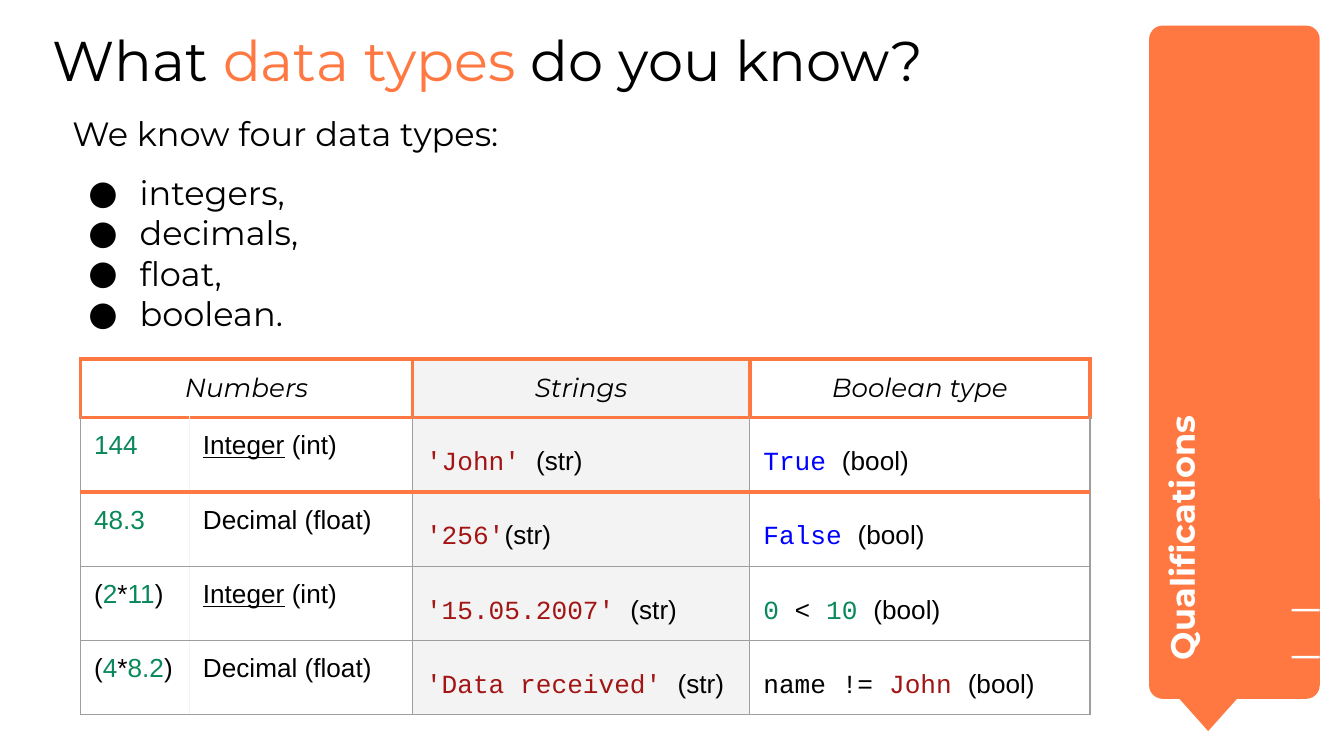
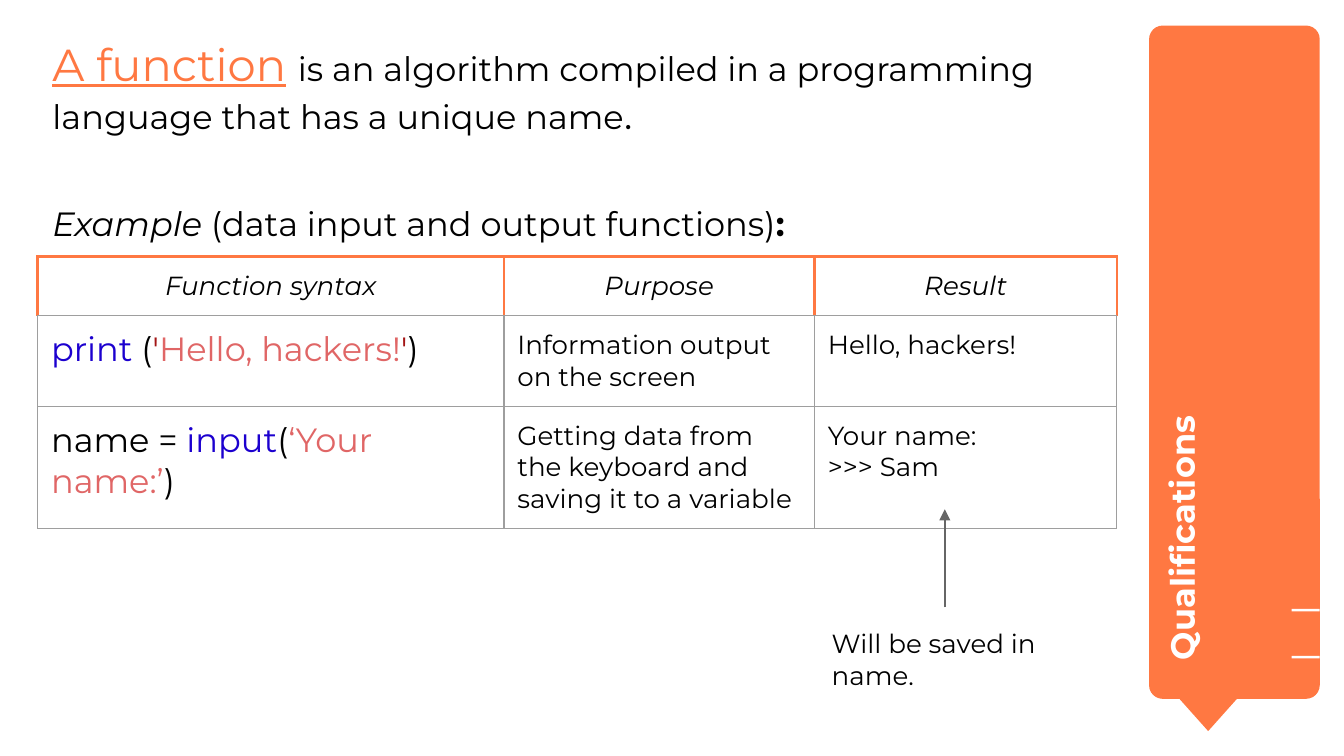
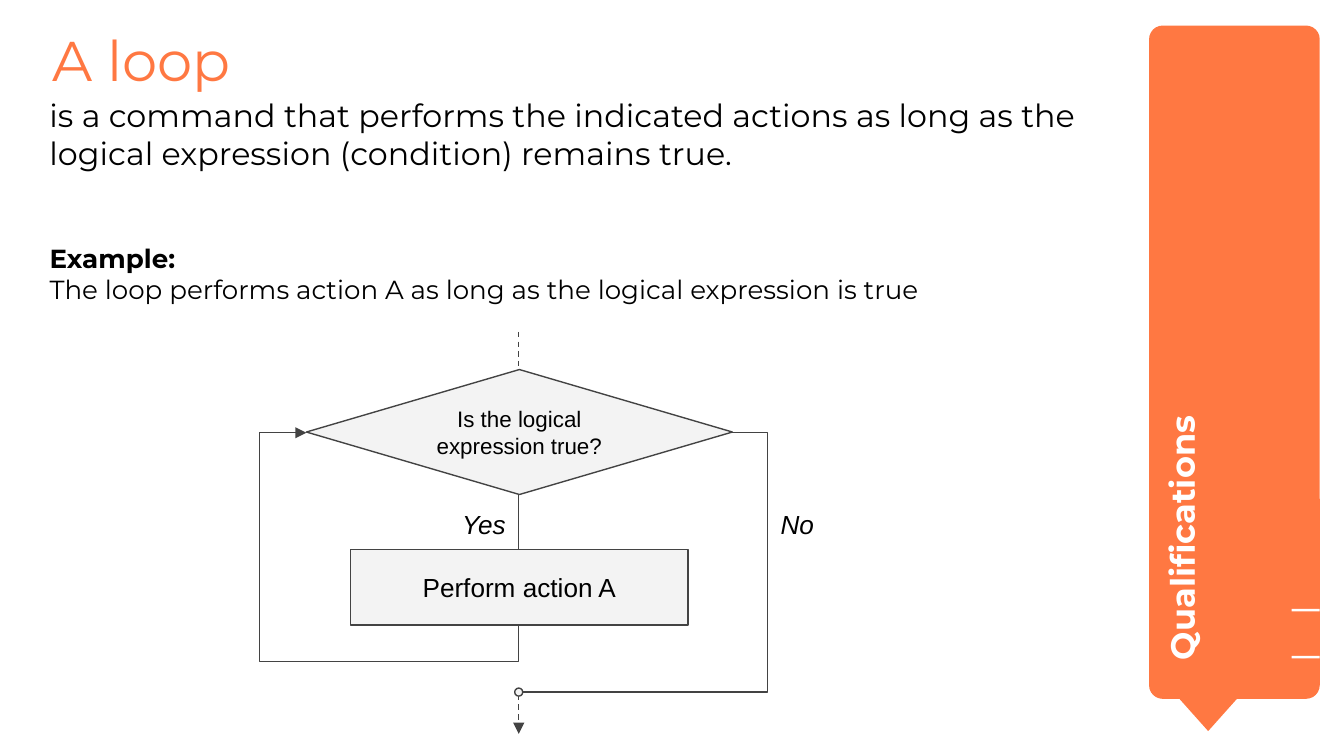
from pptx import Presentation
from pptx.dml.color import RGBColor
from pptx.enum.dml import MSO_LINE
from pptx.enum.shapes import MSO_CONNECTOR, MSO_SHAPE
from pptx.enum.text import MSO_ANCHOR, MSO_AUTO_SIZE, PP_ALIGN
from pptx.oxml.ns import qn
from pptx.util import Inches, Pt
from lxml import etree

STRAIGHT, ELBOW, DASH = MSO_CONNECTOR.STRAIGHT, MSO_CONNECTOR.ELBOW, MSO_LINE.DASH
TOP, MIDDLE = MSO_ANCHOR.TOP, MSO_ANCHOR.MIDDLE
LEFT, CENTER = PP_ALIGN.LEFT, PP_ALIGN.CENTER

BLACK, WHITE = RGBColor(0, 0, 0), RGBColor(255, 255, 255)
ORANGE = RGBColor(0xFF, 0x78, 0x42)
PALE = RGBColor(0xF3, 0xF3, 0xF3)
GRID = RGBColor(0x9E, 0x9E, 0x9E)
ARROW = RGBColor(0x66, 0x66, 0x66)
FLOW = RGBColor(0x43, 0x43, 0x43)
GREEN = RGBColor(0x09, 0x88, 0x5A)
RED = RGBColor(0xA3, 0x15, 0x15)
ROSE = RGBColor(0xE0, 0x66, 0x66)
BLUE = RGBColor(0, 0, 255)
INDIGO = RGBColor(0x1C, 0, 0xCF)

MONT, ARIAL, COURIER = "Montserrat", "Arial", "Courier New"
MARGIN = 0.1

# Content: a paragraph is a list of runs, a run is (text, font changes).


def num(text):
    return text, dict(color=GREEN)


def code(text, color=BLACK):
    return text, dict(name=COURIER, color=color)


def plain(text):
    return text, {}


INTEGER = [("Integer", dict(underline=True)), plain(" (int)")]
DECIMAL = [plain("Decimal (float)")]
STR, BOOL = plain("(str)"), plain("(bool)")

TYPES_TITLE = [plain("What "), ("data types", dict(color=ORANGE)), plain(" do you know?")]
TYPES_INTRO = "We know four data types:"
TYPES_LIST = ["integers,", "decimals,", "float,", "boolean."]
TYPES_COLS, TYPES_ROWS = [0.81, 1.66, 2.51, 2.53], [0.4] + [0.52] * 4
TYPES_HEAD = ["Numbers", "", "Strings", "Boolean type"]
TYPES_BODY = [
    [[num("144")], INTEGER, [code("'John' ", RED), STR], [code("True ", BLUE), BOOL]],
    [[num("48.3")], DECIMAL, [code("'256'", RED), STR], [code("False ", BLUE), BOOL]],
    [[plain("("), num("2"), plain("*"), num("11"), plain(")")], INTEGER,
     [code("'15.05.2007' ", RED), STR],
     [code("0", GREEN), code(" < "), code("10 ", GREEN), BOOL]],
    [[plain("("), num("4"), plain("*"), num("8.2"), plain(")")], DECIMAL,
     [code("'Data received' ", RED), STR],
     [code("name !="), code(" John ", RED), BOOL]],
]

FUNCTION_TITLE = [
    ("A function", dict(size=24, color=ORANGE, underline=True)),
    (" ", dict(size=24)),
    plain("is an algorithm compiled in a programming language that has a unique name"),
    (".", dict(size=21)),
]
FUNCTION_EXAMPLE = [("Example", dict(italic=True)),
                    plain(" (data input and output functions)"),
                    (":", dict(bold=True))]
FUNCTION_COLS, FUNCTION_ROWS = [3.47, 2.31, 2.25], [0.44, 0.67, 0.9]
FUNCTION_HEAD = ["Function syntax", "Purpose", "Result"]
FUNCTION_BODY = [
    ([("print ", dict(color=INDIGO)), plain("("), ("'", dict(color=RED)),
      ("Hello, hackers!", dict(color=ROSE)), ("'", dict(color=RED)), plain(")")],
     ["Information output", "on the screen"], ["Hello, hackers!"]),
    ([plain("name ="), (" input", dict(color=INDIGO)), plain("("),
      ("‘Your name:’", dict(color=ROSE)), plain(")")],
     ["Getting data from the keyboard and saving it to a variable"],
     ["Your name:", ">>> Sam"]),
]
FUNCTION_NOTE = "Will be saved in name."

LOOP_TITLE = "A loop"
LOOP_TEXT = ("is a command that performs the indicated actions as long as the "
             "logical expression (condition) remains true.")
LOOP_EXAMPLE = "The loop performs action A as long as the logical expression is true"


def set_font(font, name=None, size=None, color=None, **flags):
    if name:
        font.name = name
    if size:
        font.size = Pt(size)
    if color is not None:
        font.color.rgb = color
    for flag, value in flags.items():
        setattr(font, flag, value)


def write(tf, paragraphs, align=LEFT, **font):
    """Fill a text frame; each paragraph is a string or a list of runs."""
    base = dict(name=MONT, size=14, color=BLACK) | font
    for i, runs in enumerate(paragraphs):
        p = tf.paragraphs[0] if i == 0 else tf.add_paragraph()
        p.alignment = align
        set_font(p.font, **base)
        for text, changes in [plain(runs)] if isinstance(runs, str) else runs:
            r = p.add_run()
            r.text = text
            set_font(r.font, **changes)
    return tf


def frame(tf, margin=MARGIN, anchor=TOP):
    tf.word_wrap = True
    tf.auto_size = MSO_AUTO_SIZE.NONE
    tf.vertical_anchor = anchor
    tf.margin_left = tf.margin_right = tf.margin_top = tf.margin_bottom = Inches(margin)
    return tf


def inches(box):
    return [Inches(v) for v in box]


def textbox(s, box, paragraphs, **font):
    sp = s.shapes.add_textbox(*inches(box))
    write(frame(sp.text_frame), paragraphs, **font)
    return sp


def shape(shapes, kind, box, fill, line=None):
    sp = shapes.add_shape(kind, *inches(box))
    sp.shadow.inherit = False
    sp.fill.solid()
    sp.fill.fore_color.rgb = fill
    if line is None:
        sp.line.fill.background()
    else:
        sp.line.color.rgb = line
        sp.line.width = Pt(0.75)
    return sp


def connect(s, start, end, kind=STRAIGHT, color=FLOW, arrow=False, dash=None):
    c = s.shapes.add_connector(kind, *inches(start + end))
    c.line.color.rgb = color
    c.line.width = Pt(0.75)
    if dash:
        c.line.dash_style = dash
    if arrow:
        etree.SubElement(c.line._get_or_add_ln(), qn("a:tailEnd"), type="triangle")
    etree.SubElement(c._element.spPr, qn("a:effectLst"))
    return c


def elbow(s, box, preset, bends, start, end, rotation=0, arrow=False):
    """Bent line from right top to left bottom of box, glued to (shape, site) pairs."""
    left, top, width, height = box
    c = connect(s, (left + width, top), (left, top + height), ELBOW, arrow=arrow)
    c.rotation = rotation
    geom = c._element.spPr.find(qn("a:prstGeom"))
    geom.set("prst", preset)
    guides = geom.find(qn("a:avLst"))
    if guides is None:
        guides = etree.SubElement(geom, qn("a:avLst"))
    for i, bend in enumerate(bends, 1):
        etree.SubElement(guides, qn("a:gd"), name=f"adj{i}", fmla=f"val {bend}")
    glue = c._element.find(".//" + qn("p:cNvCxnSpPr"))
    for tag, (sp, site) in (("a:stCxn", start), ("a:endCxn", end)):
        etree.SubElement(glue, qn(tag), id=str(sp.shape_id), idx=str(site))


def borders(cell, **sides):
    """Draw the L, R, T and B borders, each given as (colour, points)."""
    tc_pr = cell._tc.get_or_add_tcPr()
    for i, side in enumerate("LRTB"):
        color, width = sides[side]
        ln = etree.Element(qn("a:ln" + side), w=str(Pt(width)))
        fill = etree.SubElement(ln, qn("a:solidFill"))
        etree.SubElement(fill, qn("a:srgbClr"), val=str(color))
        tc_pr.insert(i, ln)


def table(s, left, top, cols, rows, head):
    box = left, top, sum(cols), sum(rows)
    t = s.shapes.add_table(len(rows), len(cols), *inches(box)).table
    t.first_row = t.horz_banding = False
    for col, width in zip(t.columns, cols):
        col.width = Inches(width)
    for row, height in zip(t.rows, rows):
        row.height = Inches(height)
    for cell in t.iter_cells():
        cell.fill.background()
        cell.margin_left = cell.margin_right = Inches(MARGIN)
        cell.margin_top = cell.margin_bottom = Inches(MARGIN)
    for c, text in enumerate(head):
        if text:
            write(t.cell(0, c).text_frame, [text], align=CENTER, italic=True)
    return t


def new_slide(prs, title, box, **font):
    s = prs.slides.add_slide(prs.slide_layouts[5])
    sp = s.shapes.title
    sp.left, sp.top, sp.width, sp.height = inches(box)
    write(frame(sp.text_frame, 0), title, **font)

    banner = s.shapes.add_group_shape().shapes
    card = shape(banner, MSO_SHAPE.ROUNDED_RECTANGLE, (8.55, 0.19, 1.27, 5.01), ORANGE)
    card.adjustments[0] = 0.08
    shape(banner, MSO_SHAPE.FLOWCHART_MERGE, (8.66, 5.07, 0.66, 0.37), ORANGE)
    label = textbox(s, (7.09, 2.64, 3.82, 0.92), ["Qualifications"],
                    size=18, color=WHITE, bold=True)
    label.rotation = 270
    for y in (4.53, 4.88):
        shape(s.shapes, MSO_SHAPE.RECTANGLE, (9.61, y, 0.21, 0.02), WHITE)
    return s


def types_slide(prs):
    s = new_slide(prs, [TYPES_TITLE], (0.39, 0.19, 7.76, 1.2), size=30)
    t = table(s, 0.6, 2.67, TYPES_COLS, TYPES_ROWS, TYPES_HEAD)
    thick, thin, faint = (ORANGE, 2.25), (GRID, 0.75), (PALE, 0.75)
    t.cell(0, 0).merge(t.cell(0, 1))
    for r in range(len(TYPES_ROWS)):
        for c in range(len(TYPES_COLS)):
            cell = t.cell(r, c)
            if c >= 2:
                cell.fill.solid()
                cell.fill.fore_color.rgb = PALE if c == 2 else WHITE
            if r == 0:
                borders(cell, L=thick, R=thick, T=thick, B=thick)
                continue
            write(cell.text_frame, [TYPES_BODY[r - 1][c]], name=ARIAL)
            if c >= 2:
                cell.text_frame.paragraphs[0].line_spacing = 1.5
            borders(cell, L=faint if c == 1 else thin, R=faint if c == 0 else thin,
                    T=thick if r <= 2 else thin, B=thick if r == 1 else thin)

    sp = textbox(s, (0.44, 0.74, 8, 1.72), [TYPES_INTRO], size=18)
    tf = sp.text_frame
    for text in TYPES_LIST:
        p = tf.add_paragraph()
        p.text = text
        p_pr = p._p.get_or_add_pPr()
        p_pr.set("marL", str(Inches(0.5)))
        p_pr.set("indent", str(Inches(-0.38)))
        etree.SubElement(p_pr, qn("a:buFont"), typeface=MONT)
        etree.SubElement(p_pr, qn("a:buChar"), char="●")
        set_font(p.font, name=MONT, size=18, color=BLACK)
    tf.paragraphs[1].space_before = Pt(10)
    tf.paragraphs[-1].space_after = Pt(10)


def function_slide(prs):
    s = new_slide(prs, [FUNCTION_TITLE, FUNCTION_EXAMPLE], (0.39, 0.27, 7.42, 1.55), size=18)
    s.shapes.title.text_frame.paragraphs[1].space_before = Pt(35)
    t = table(s, 0.28, 1.91, FUNCTION_COLS, FUNCTION_ROWS, FUNCTION_HEAD)
    thick, thin = (ORANGE, 1.5), (GRID, 0.75)
    for r in range(len(FUNCTION_ROWS)):
        for c in range(len(FUNCTION_COLS)):
            cell = t.cell(r, c)
            edge = thin if r else thick
            borders(cell, L=edge, R=edge, T=edge, B=thin)
            if r:
                content = FUNCTION_BODY[r - 1][c]
                write(cell.text_frame, content if c else [content], size=14 if c else 18)
    connect(s, (7.03, 4.52), (7.03, 3.79), color=ARROW, arrow=True)
    textbox(s, (6.09, 4.57, 1.98, 0.55), [FUNCTION_NOTE])


def loop_slide(prs):
    s = new_slide(prs, [LOOP_TITLE], (0.39, 0.19, 8.1, 0.71), size=30, color=ORANGE)
    textbox(s, (0.27, 0.61, 8, 0.82), [LOOP_TEXT], size=17)
    textbox(s, (0.27, 1.7, 8.48, 0.61), [[("Example:", dict(bold=True))], LOOP_EXAMPLE])

    axis, exit_y = 3.86, 5.15
    test_box, action_box = (2.28, 2.75, 3.17, 0.93), (2.61, 4.09, 2.51, 0.56)
    test_end = test_box[1] + test_box[3]
    test = shape(s.shapes, MSO_SHAPE.FLOWCHART_DECISION, test_box, PALE, FLOW)
    action = shape(s.shapes, MSO_SHAPE.RECTANGLE, action_box, PALE, FLOW)
    for sp, text, size in ((test, "Is the logical expression true?", 12),
                           (action, "Perform action A", 14)):
        write(frame(sp.text_frame, anchor=MIDDLE), [text], align=CENTER, name=ARIAL, size=size)
    for x, width, text in ((3.34, 0.55, "Yes"), (5.71, 0.63, "No")):
        textbox(s, (x, test_end, width, 0.41), [text], name=ARIAL, italic=True)

    connect(s, (axis, 2.47), (axis, test_box[1]), dash=DASH)
    connect(s, (axis, test_end), (axis, action_box[1]))
    connect(s, (axis, exit_y + 0.02), (axis, 5.46), arrow=True, dash=DASH)
    leave = shape(s.shapes, MSO_SHAPE.OVAL, (axis - 0.03, exit_y - 0.03, 0.06, 0.06),
                  PALE, FLOW)
    elbow(s, (2.35, 3.15, 1.44, 1.58), "bentConnector4", (-18100, 122200),
          (action, 2), (test, 1), rotation=90, arrow=True)
    elbow(s, (3.89, 3.22, 1.56, 1.93), "bentConnector3", (-16700,),
          (test, 3), (leave, 6))


def main():
    prs = Presentation()
    prs.slide_width = Inches(10)
    prs.slide_height = prs.slide_width * 9 // 16
    types_slide(prs)
    function_slide(prs)
    loop_slide(prs)
    prs.save("out.pptx")


if __name__ == "__main__":
    main()
